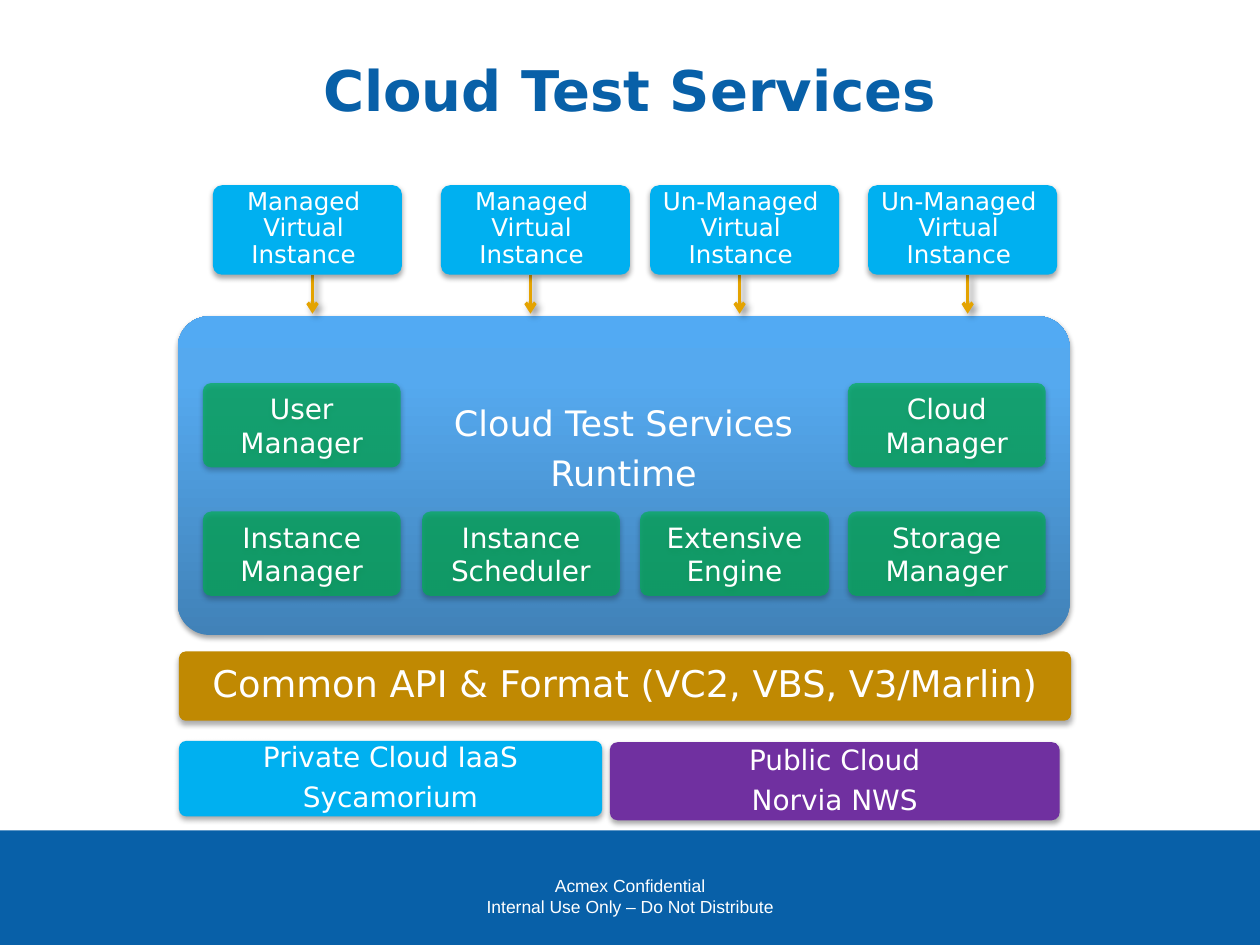
from dataclasses import dataclass

from lxml import etree
from pptx import Presentation
from pptx.dml.color import RGBColor
from pptx.enum.shapes import MSO_CONNECTOR, MSO_SHAPE
from pptx.enum.text import MSO_ANCHOR, PP_ALIGN
from pptx.oxml.ns import qn
from pptx.util import Emu, Pt

RECT, ROUND = MSO_SHAPE.RECTANGLE, MSO_SHAPE.ROUNDED_RECTANGLE
STRAIGHT = MSO_CONNECTOR.STRAIGHT
MIDDLE, CENTER = MSO_ANCHOR.MIDDLE, PP_ALIGN.CENTER
EMU_PER_PX = 9144
SANS = "DejaVu Sans"
WHITE, NAVY, SKY, GOLD = "FFFFFF", "0860A8", "00B0F0", "E4A300"
OCHRE, PURPLE, GREEN = "C08902", "7030A0", "00B050"
RUNTIME_STOPS = ((0, "4182B8"), (80, "55A9EF"), (100, "52AAF3"))


@dataclass
class Box:
    """A rounded block with its text, in px and points."""

    text: str
    x: int
    y: int
    w: int
    h: int
    fill: str
    size: int = 16
    insets: tuple[int, int, int, int] = (8, 8, 8, 8)
    alpha: int = 100
    tight: bool = True


def px(n: int) -> Emu:
    """Turn px into EMU."""
    return Emu(n * EMU_PER_PX)


def rgb(color: str) -> RGBColor:
    """Turn a hex string into a colour."""
    return RGBColor.from_string(color)


def sub(parent, tag: str, **attrs):
    """Append a DrawingML element."""
    return etree.SubElement(parent, qn(f"a:{tag}"), {k: str(v) for k, v in attrs.items()})


def add_shadow(effects, alpha: int, blur: float, dist: float, angle: int) -> None:
    """Put an outer shadow into an effect list."""
    shadow = sub(effects, "outerShdw", blurRad=Pt(blur), dist=Pt(dist),
                 dir=angle * 60000, rotWithShape=0)
    sub(sub(shadow, "srgbClr", val="000000"), "alpha", val=alpha * 1000)


def write(s, text: str, *, size: int, color: str = WHITE, font: str = SANS,
          bold: bool = False, tight: bool = False,
          insets: tuple[int, int, int, int] = (10, 5, 10, 5)) -> None:
    """Write centred lines of text into a shape."""
    tf = s.text_frame
    tf.word_wrap = True
    tf.vertical_anchor = MIDDLE
    tf.margin_left, tf.margin_top, tf.margin_right, tf.margin_bottom = map(px, insets)
    for i, line in enumerate(text.split("\n")):
        p = tf.add_paragraph() if i else tf.paragraphs[0]
        p.alignment = CENTER
        if tight:
            p.line_spacing = 0.9
            p.space_after = Pt(size * 0.35)
        r = p.add_run()
        r.text = line
        r.font.size, r.font.name, r.font.bold = Pt(size), font, bold
        r.font.color.rgb = rgb(color)


def add_shape(slide, kind, x: int, y: int, w: int, h: int, fill: str):
    """Draw a plain filled shape without outline."""
    s = slide.shapes.add_shape(kind, px(x), px(y), px(w), px(h))
    s.shadow.inherit = False
    s.fill.solid()
    s.fill.fore_color.rgb = rgb(fill)
    s.line.fill.background()
    return s


def add_box(slide, box: Box):
    """Draw a rounded block with shadow and text."""
    s = add_shape(slide, ROUND, box.x, box.y, box.w, box.h, box.fill)
    s.adjustments[0] = 0.1
    spPr = s._element.spPr
    add_shadow(spPr.find(qn("a:effectLst")), 35, 3.1, 1.8, 90)
    if box.alpha < 100:
        sub(spPr.find(qn("a:solidFill"))[0], "alpha", val=box.alpha * 1000)
    write(s, box.text, size=box.size, tight=box.tight, insets=box.insets)
    return s


def set_gradient(s, stops: tuple[tuple[int, str], ...], angle: int) -> None:
    """Replace a solid fill by a linear gradient."""
    spPr = s._element.spPr
    grad = etree.Element(qn("a:gradFill"), rotWithShape="1")
    stop_list = sub(grad, "gsLst")
    for pos, color in stops:
        sub(sub(stop_list, "gs", pos=pos * 1000), "srgbClr", val=color)
    sub(grad, "lin", ang=angle * 60000, scaled=0)
    spPr.replace(spPr.find(qn("a:solidFill")), grad)


def add_arrow(slide, x: int, top: int, bottom: int) -> None:
    """Draw a downward arrow."""
    c = slide.shapes.add_connector(STRAIGHT, px(x), px(top), px(x), px(bottom))
    c.line.color.rgb = rgb(GOLD)
    c.line.width = Pt(2)
    spPr = c._element.spPr
    sub(spPr.find(qn("a:ln")), "tailEnd", type="arrow")
    add_shadow(sub(spPr, "effectLst"), 40, 4, 3, 45)


def add_label(slide, text: str, x: int, y: int, w: int, h: int, **style) -> None:
    """Draw a text box."""
    write(slide.shapes.add_textbox(px(x), px(y), px(w), px(h)), text, **style)


def main() -> None:
    """Build the slide and save it."""
    prs = Presentation()
    prs.slide_width, prs.slide_height = px(1000), px(750)
    slide = prs.slides.add_slide(prs.slide_layouts[6])

    add_shape(slide, RECT, -1, 659, 1001, 91, NAVY)
    add_label(slide, "Acmex Confidential\nInternal Use Only – Do Not Distribute",
              366, 690, 268, 43, size=10, font="Arial")
    add_label(slide, "Cloud Test Services", 50, 17, 900, 108,
              size=32, color=NAVY, bold=True)

    runtime = add_box(slide, Box("Cloud Test Services\nRuntime", 141, 251, 708, 253,
                                 SKY, 20, (8, 8, 8, 48)))
    set_gradient(runtime, RUNTIME_STOPS, 270)

    platforms = (
        Box("Common API & Format (VC2, VBS, V3/Marlin)", 142, 517, 708, 55, OCHRE, 21),
        Box("Private Cloud IaaS\nSycamorium", 142, 588, 336, 60, SKY),
        Box("Public Cloud\nNorvia NWS", 484, 589, 357, 62, PURPLE),
    )
    for box in platforms:
        add_box(slide, box)

    instances = (("Managed", 169, 248), ("Managed", 350, 421),
                 ("Un-Managed", 516, 587), ("Un-Managed", 689, 768))
    for kind, x, arrow_x in instances:
        add_arrow(slide, arrow_x, 218, 249)
        add_box(slide, Box(f"{kind} Virtual Instance", x, 147, 150, 71, SKY, 14,
                           (6, 6, 12, 8)))

    managers = (
        ("User\nManager", 161, 304, 157), ("Cloud Manager", 673, 304, 157),
        ("Instance Manager", 161, 406, 157), ("Instance\nScheduler", 335, 406, 157),
        ("Extensive Engine", 508, 406, 150), ("Storage\nManager", 673, 406, 157),
    )
    for text, x, y, w in managers:
        add_box(slide, Box(text, x, y, w, 67, GREEN, insets=(10, 5, 10, 5),
                           alpha=68, tight=False))

    prs.save("out.pptx")


if __name__ == "__main__":
    main()
